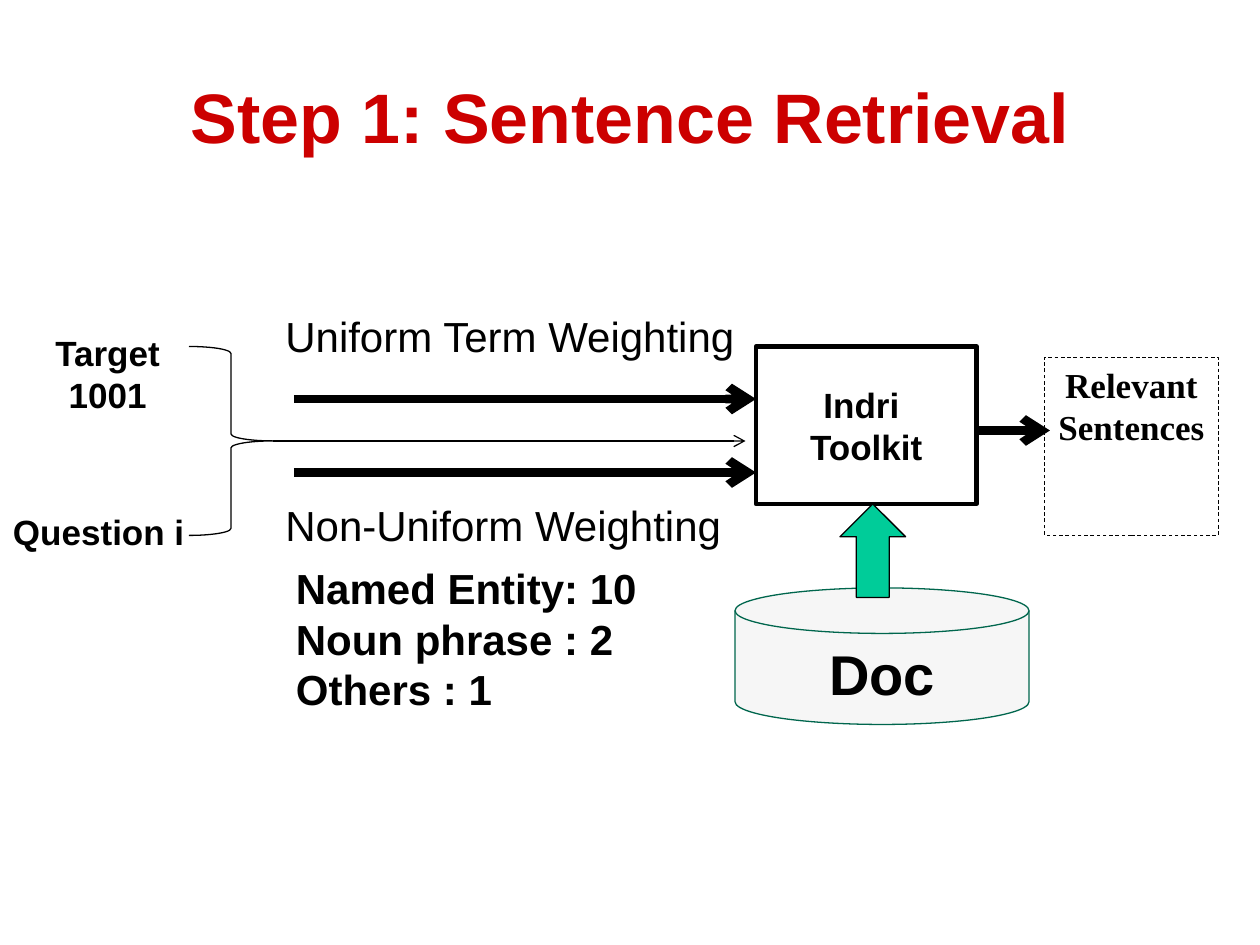
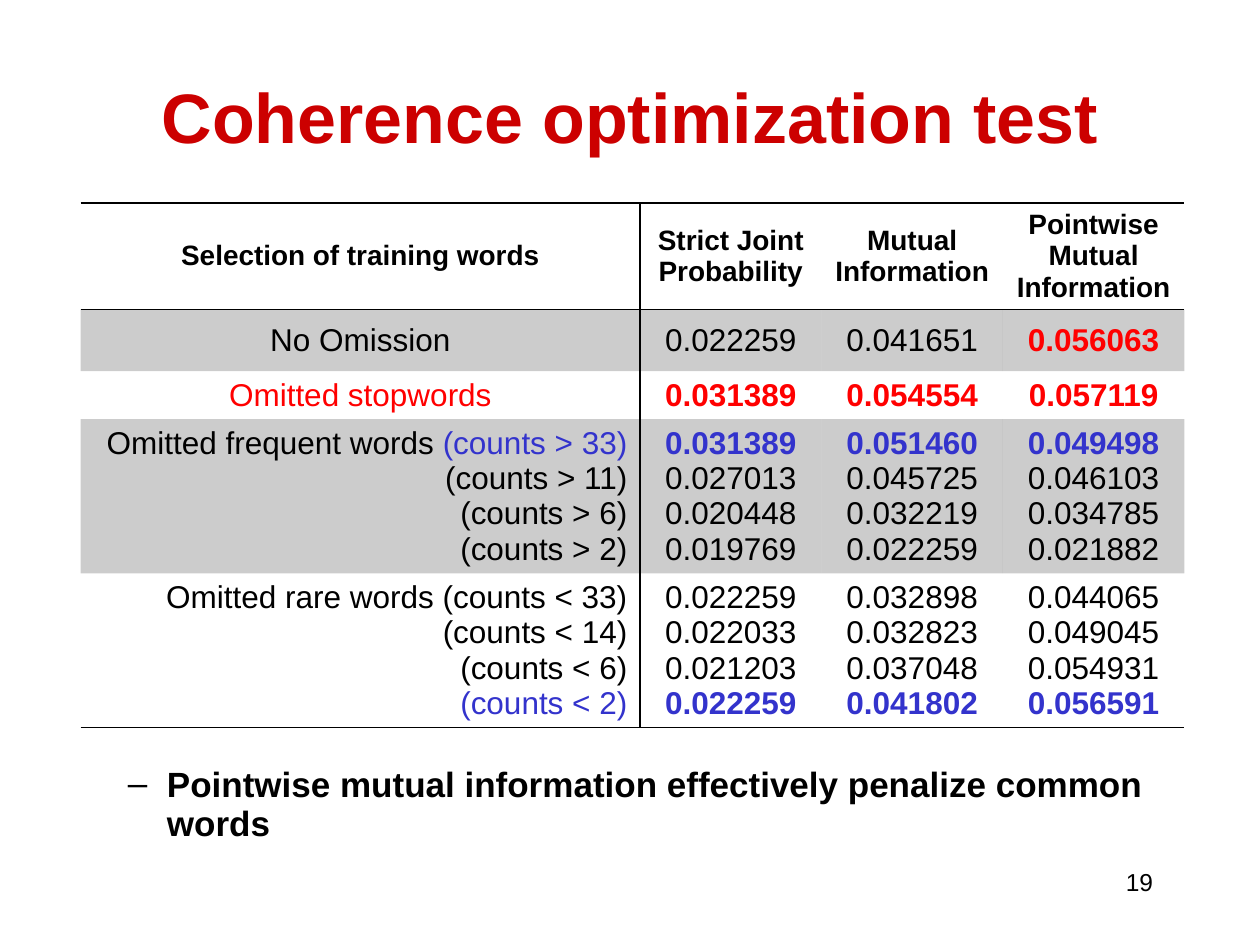
"""Build two slides: a sentence retrieval diagram and a coherence test table."""
from lxml import etree
from pptx import Presentation
from pptx import util as u
from pptx.dml.color import RGBColor
from pptx.enum import dml, shapes, text
from pptx.oxml.ns import qn

BLACK = RGBColor(0x00, 0x00, 0x00)
WHITE = RGBColor(0xFF, 0xFF, 0xFF)
TITLE_RED = RGBColor(0xCC, 0x00, 0x00)
RED = RGBColor(0xFF, 0x00, 0x00)
BLUE = RGBColor(0x33, 0x33, 0xCC)
PALE = RGBColor(0xF2, 0xF2, 0xF2)
GREEN = RGBColor(0x00, 0x66, 0x4D)
MINT = RGBColor(0x00, 0xCC, 0x99)
MARKS = {"*": RED, "^": BLUE}
ALIGN = text.PP_ALIGN
ANCHOR = text.MSO_ANCHOR
KIND = shapes.MSO_SHAPE

deck = Presentation()
deck.slide_width, deck.slide_height = u.Inches(10), u.Inches(7.5)
COLUMNS = 120
UNIT = deck.slide_width / COLUMNS


def grid(*cells):
    """Turn grid units into lengths."""
    return [round(cell * UNIT) for cell in cells]


def write(frame, lines, size, align=ALIGN.CENTER, leading=1.2, **changes):
    """Fill a frame, one paragraph a line; | parts spans, * and ^ colour them."""
    font = {"name": "Arial", "size": u.Pt(size), "bold": True} | changes
    ink = font.pop("color", BLACK)
    for number, line in enumerate(lines):
        para = frame.paragraphs[0] if number == 0 else frame.add_paragraph()
        para.alignment, para.line_spacing = align, u.Pt(round(size * leading, 1))
        if "\v" in line:
            para.text = line
        else:
            for part in line.split("|"):
                para.add_run().text = part.lstrip("*^")
        marks = [MARKS.get(part[0], ink) for part in line.split("|")]
        for index, span in enumerate(para.runs):
            for key, value in font.items():
                setattr(span.font, key, value)
            span.font.color.rgb = marks[min(index, len(marks) - 1)]


pages = []
for title in ("Step 1: Sentence Retrieval", "Coherence optimization test"):
    page = deck.slides.add_slide(deck.slide_layouts[6])
    box = page.shapes.add_textbox(*grid(0, 4, COLUMNS, 14))
    box.text_frame.word_wrap = True
    box.text_frame.vertical_anchor = ANCHOR.MIDDLE
    write(box.text_frame, [title], 40, color=TITLE_RED)
    pages.append(page)
diagram, results = pages
faded = []

for at, label in (((4, 31, 12.5, 9.2), "Target\v1001"), ((0, 48, 18.8, 5.3), "Question i")):
    box = diagram.shapes.add_textbox(*grid(*at))
    box.text_frame.word_wrap = False
    write(box.text_frame, [label], 20)

blocks = [
    (KIND.FLOWCHART_MAGNETIC_DISK, (70, 56, 28, 13), PALE, GREEN, 0.75, ["Doc"], 32, "Arial"),
    (KIND.RECTANGLE, (72, 33, 21, 15), WHITE, BLACK, 2.5, ["Indri ", "Toolkit"], 20, "Arial"),
    (KIND.RECTANGLE, (99.5, 34, 16.5, 17), WHITE, BLACK, 0.5, ["Relevant Sentences"], 20, "Times New Roman"),
    (KIND.UP_ARROW, (80, 48, 6.25, 8.9), MINT, BLACK, 0.75, [], 20, "Arial"),
    (KIND.RIGHT_BRACE, (18, 33, 8, 18), None, BLACK, 0.75, [], 20, "Arial"),
]
for kind, at, fill, ink, width, lines, size, face in blocks:
    block = diagram.shapes.add_shape(kind, *grid(*at))
    block.shadow.inherit = False
    block.line.color.rgb, block.line.width = ink, u.Pt(width)
    if fill is None:
        block.fill.background()
    else:
        block.fill.solid()
        block.fill.fore_color.rgb = fill
    frame = block.text_frame
    frame.word_wrap = True
    frame.vertical_anchor = ANCHOR.MIDDLE if len(lines) == 2 else ANCHOR.TOP
    if face != "Arial":
        block.line.dash_style = dml.MSO_LINE.DASH
        frame.margin_left = frame.margin_right = u.Inches(0.05)
    if fill == PALE:
        faded.append((block._element.spPr, 63))
    write(frame, lines, size, name=face)

notes = [
    ((9, 53, 81, 15.7), ["Named Entity: 10", "Noun phrase : 2", "Others : 1"], True),
    ((8, 29, 71, 6), ["Uniform Term Weighting"], False),
    ((8, 47, 65, 6), ["Non-Uniform Weighting"], False),
]
for at, lines, bold in notes:
    box = diagram.shapes.add_textbox(*grid(*at))
    box.text_frame.word_wrap = True
    write(box.text_frame, lines, 24, ALIGN.LEFT, bold=bold)
    for para in box.text_frame.paragraphs:
        para._p.get_or_add_pPr().set("marL", str(u.Inches(1.5)))

for left, right, height, width in ((93, 100, 41, 5), (28, 72, 38, 5), (28, 72, 45, 5), (26, 71, 42, 0.75)):
    arrow = diagram.shapes.add_connector(
        shapes.MSO_CONNECTOR.STRAIGHT, *grid(left, height, right, height))
    arrow.line.color.rgb, arrow.line.width = BLACK, u.Pt(width)
    etree.SubElement(arrow.line._get_or_add_ln(), qn("a:tailEnd"), type="arrow")
    etree.SubElement(arrow._element.spPr, qn("a:effectLst"))

rows = [
    (0.84, [["Selection of training words"], ["Strict Joint Probability"],
            ["Mutual", "Information"], ["Pointwise\vMutual\vInformation"]]),
    (0.49, [["No Omission"], ["0.022259"], ["0.041651"], ["*0.056063"]]),
    (0.38, [["*Omitted stopwords"], ["*0.031389"], ["*0.054554"], ["*0.057119"]]),
    (1.22, [["Omitted frequent words |^(counts > 33)", "(counts > 11)", "(counts > 6)", "(counts > 2)"],
            ["^0.031389", "0.027013", "0.020448", "0.019769"],
            ["^0.051460", "0.045725", "0.032219", "0.022259"],
            ["^0.049498", "0.046103", "0.034785", "0.021882"]]),
    (1.22, [["Omitted rare words (counts < 33)", "(counts < 14)", "(counts < 6)", "^(counts < 2)"],
            ["0.022259", "0.022033", "0.021203", "^0.022259"],
            ["0.032898", "0.032823", "0.037048", "^0.041802"],
            ["0.044065", "0.049045", "0.054931", "^0.056591"]]),
]
widths = [4.44] + [1.44] * 3
holder = results.shapes.add_table(
    len(rows), len(widths), u.Inches(0.64), u.Inches(1.61),
    u.Inches(sum(widths)), u.Inches(sum(height for height, _ in rows)))
table = holder.table
table.first_row = table.horz_banding = False
for column, width in zip(table.columns, widths):
    column.width = u.Inches(width)
for r, (height, cells) in enumerate(rows):
    table.rows[r].height = u.Inches(height)
    for c, lines in enumerate(cells):
        cell = table.cell(r, c)
        cell.vertical_anchor = ANCHOR.MIDDLE
        align = ALIGN.RIGHT if c == 0 and len(lines) > 1 else ALIGN.CENTER
        write(cell.text_frame, lines, 18 if r else 16, align, 1.12, bold=r == 0)
        if c:
            for para, line in zip(cell.text_frame.paragraphs, lines):
                for span in para.runs:
                    span.font.bold = r == 0 or line[0] in MARKS
        edges = {"L": c == 1, "R": c == 0, "T": r < 2, "B": r in (0, len(rows) - 1)}
        props = cell._tc.get_or_add_tcPr()
        for side, drawn in edges.items():
            edge = etree.SubElement(props, qn("a:ln" + side), w=str(u.Pt(1)))
            paint = etree.SubElement(edge, qn("a:solidFill" if drawn else "a:noFill"))
            if drawn:
                etree.SubElement(paint, qn("a:srgbClr"), val=str(BLACK))
        if r in (1, 3):
            cell.fill.solid()
            cell.fill.fore_color.rgb = BLACK
            faded.append((props, 20))
        else:
            cell.fill.background()

for props, percent in faded:
    tint = props.find(qn("a:solidFill")).find(qn("a:srgbClr"))
    etree.SubElement(tint, qn("a:alpha"), val=str(percent * 1000))

box = results.shapes.add_textbox(*grid(5, 72.4, 111, 8.6))
box.text_frame.word_wrap = True
props = box.text_frame.paragraphs[0]._p.get_or_add_pPr()
props.set("marL", str(u.Inches(0.81)))
props.set("indent", str(u.Inches(-0.31)))
write(box.text_frame, ["Pointwise mutual information effectively penalize common words"],
      20, ALIGN.LEFT, 1.1)
etree.SubElement(props, qn("a:buFont"), typeface="Arial")
etree.SubElement(props, qn("a:buChar"), char="–")

box = results.shapes.add_textbox(*grid(86, 82, 25, 6))
box.text_frame.word_wrap = True
write(box.text_frame, ["19"], 14, ALIGN.RIGHT, bold=False)

deck.save("out.pptx")
